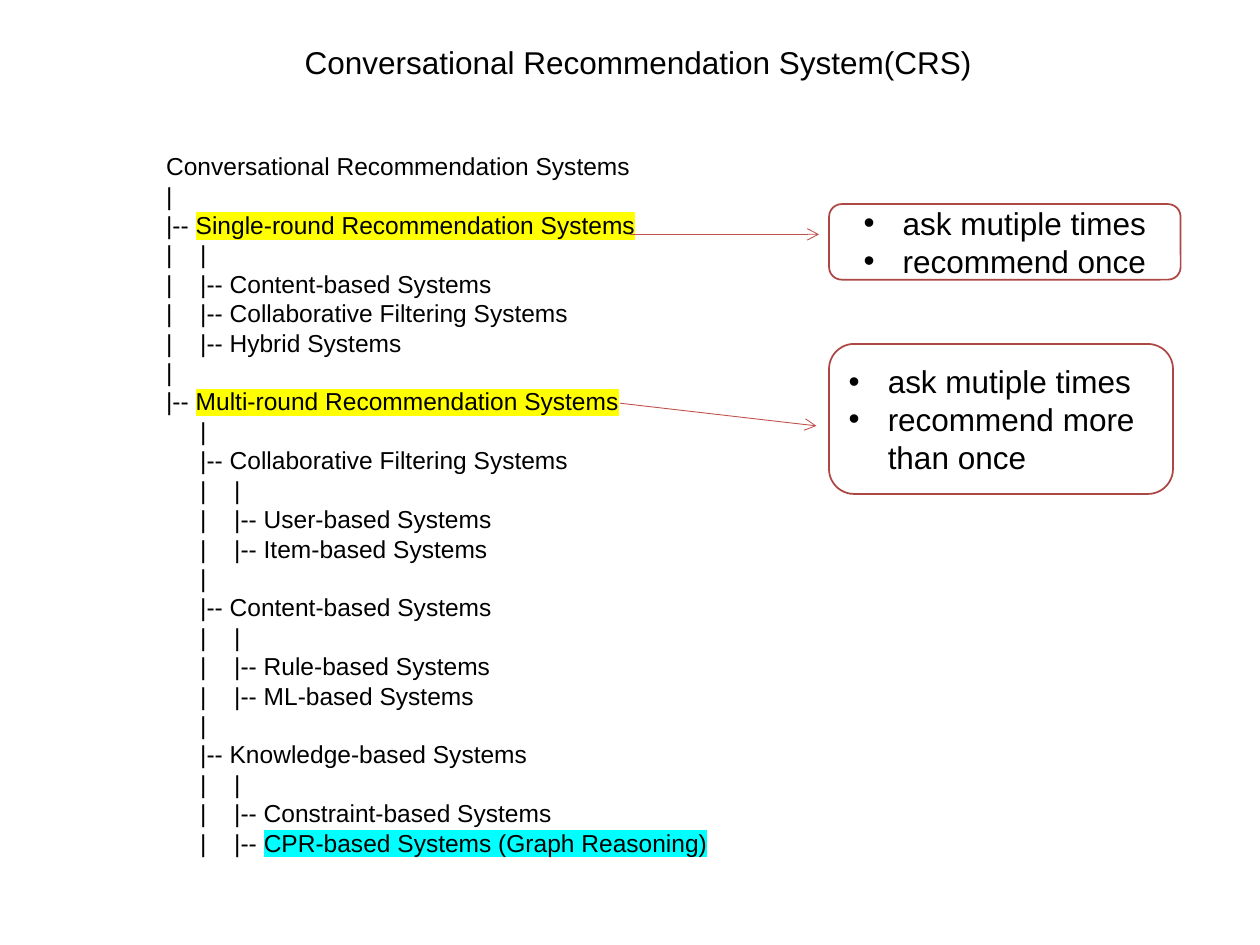
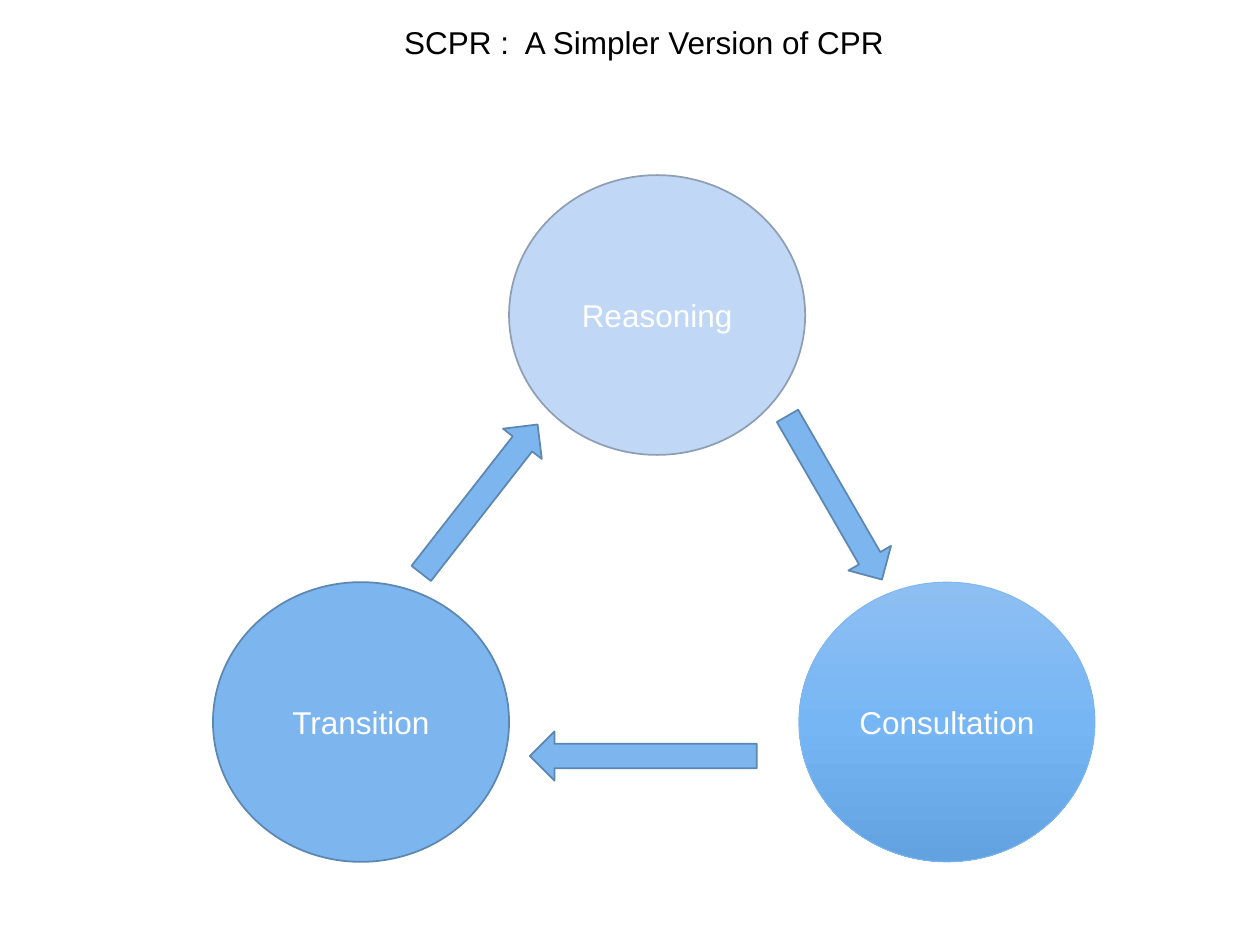
from copy import deepcopy

from lxml import etree
from pptx import Presentation
from pptx.dml.color import RGBColor
from pptx.enum.shapes import MSO_CONNECTOR, MSO_SHAPE
from pptx.enum.text import MSO_ANCHOR, MSO_AUTO_SIZE, PP_ALIGN
from pptx.oxml.ns import qn
from pptx.util import Pt

ROUND_RECT, ELLIPSE, DOWN_ARROW = (
    MSO_SHAPE.ROUNDED_RECTANGLE, MSO_SHAPE.OVAL, MSO_SHAPE.DOWN_ARROW)
STRAIGHT = MSO_CONNECTOR.STRAIGHT
LEFT, CENTER = PP_ALIGN.LEFT, PP_ALIGN.CENTER
MIDDLE = MSO_ANCHOR.MIDDLE
GROW = MSO_AUTO_SIZE.SHAPE_TO_FIT_TEXT

PX = 9144  # 100 px to the inch
FONT = "Arial"
BLACK, WHITE = "000000", "FFFFFF"
YELLOW, CYAN = "FFFF00", "00FFFF"
BOX_RED, ARROW_RED = "AC4744", "C0504D"
BLUE, BLUE_EDGE = "7DB6EF", "5C87B1"
color = RGBColor.from_string


def add_run(paragraph, text, size, ink=BLACK, highlight=None):
    run = paragraph.add_run()
    run.text = text
    run.font.size = Pt(size)
    run.font.name = FONT
    run.font.color.rgb = color(ink)
    if highlight:
        mark = etree.Element(qn("a:highlight"))
        etree.SubElement(mark, qn("a:srgbClr"), val=highlight)
        run.font._element.find(qn("a:solidFill")).addnext(mark)


def add_figure(slide, kind, box, fill, edge, edge_width=1):
    figure = slide.shapes.add_shape(kind, *[v * PX for v in box])
    figure.shadow.inherit = False
    figure.fill.solid()
    figure.fill.fore_color.rgb = color(fill)
    figure.line.color.rgb = color(edge)
    figure.line.width = Pt(edge_width)
    figure.text_frame.word_wrap = True
    figure.text_frame.vertical_anchor = MIDDLE
    return figure


prs = Presentation()
prs.slide_width, prs.slide_height = 1000 * PX, 750 * PX

# Slides and their titles
titles = [
    ("Conversational Recommendation System(CRS)", (232, 29, 690, 40)),
    ("SCPR :  A Simpler Version of CPR", (311, 13, 469, 40)),
]
for title, box in titles:
    slide = prs.slides.add_slide(prs.slide_layouts[6])
    frame = slide.shapes.add_textbox(*[v * PX for v in box]).text_frame
    frame.word_wrap = True
    frame.auto_size = GROW
    add_run(frame.paragraphs[0], title, 18)
taxonomy, cycle = prs.slides

# Slide 1: tree of systems, as (guide, label, highlight)
tree = [
    ("", "Conversational Recommendation Systems", None),
    ("|", "", None),
    ("|-- ", "Single-round Recommendation Systems", YELLOW),
    ("|\t|", "", None),
    ("|\t|-- ", "Content-based Systems", None),
    ("|\t|-- ", "Collaborative Filtering Systems", None),
    ("|\t|-- ", "Hybrid Systems", None),
    ("|", "", None),
    ("|-- ", "Multi-round Recommendation Systems", YELLOW),
]
multi_round = [
    ("Collaborative Filtering Systems",
     [("User-based Systems", None), ("Item-based Systems", None)]),
    ("Content-based Systems",
     [("Rule-based Systems", None), ("ML-based Systems", None)]),
    ("Knowledge-based Systems",
     [("Constraint-based Systems", None),
      ("CPR-based Systems (Graph Reasoning)", CYAN)]),
]
for family, members in multi_round:
    tree += [("\t|", "", None), ("\t|-- ", family, None), ("\t|\t|", "", None)]
    tree += [("\t|\t|-- ", member, mark) for member, mark in members]

frame = taxonomy.shapes.add_textbox(122 * PX, 115 * PX, 682 * PX, 599 * PX).text_frame
frame.word_wrap = True
frame.auto_size = GROW
for i, (guide, label, mark) in enumerate(tree):
    line = frame.add_paragraph() if i else frame.paragraphs[0]
    tabs = etree.SubElement(line._p.get_or_add_pPr(), qn("a:tabLst"))
    for level in (1, 2):
        etree.SubElement(tabs, qn("a:tab"), pos=str(level * 27 * PX), algn="l")
    for text, highlight in ((guide, None), (label, mark)):
        if text:
            add_run(line, text, 14, highlight=highlight)

# Callouts with bullets
callouts = [
    ((658, 162, 279, 60), CENTER, ["ask mutiple times", "recommend once"]),
    ((658, 273, 273, 119), LEFT, ["ask mutiple times", "recommend more than once"]),
]
for box, align, points in callouts:
    frame = add_figure(taxonomy, ROUND_RECT, box, WHITE, BOX_RED).text_frame
    for i, point in enumerate(points):
        line = frame.add_paragraph() if i else frame.paragraphs[0]
        line.alignment = align
        props = line._p.get_or_add_pPr()
        props.set("marL", str(31 * PX))
        props.set("indent", str(-31 * PX))
        etree.SubElement(props, qn("a:buFont"), typeface=FONT)
        etree.SubElement(props, qn("a:buChar"), char="•")
        add_run(line, point, 18)

# Arrows from the highlighted branches to the callouts
for ends in ((500, 186, 650, 186), (492, 320, 648, 338)):
    pointer = taxonomy.shapes.add_connector(STRAIGHT, *[v * PX for v in ends])
    pointer.line.color.rgb = color(ARROW_RED)
    pointer.line.width = Pt(0.5)
    etree.SubElement(pointer.line._get_or_add_ln(), qn("a:tailEnd"), type="arrow")
    etree.SubElement(pointer._element.spPr, qn("a:effectLst"))

# Slide 2: arrows of the cycle
for left, top, length, angle in (
        (643, 320, 150, 330), (361, 321, 150, 218), (491, 510, 180, 90)):
    arrow = add_figure(cycle, DOWN_ARROW, (left, top, 39, length), BLUE, BLUE_EDGE)
    arrow.rotation = angle

# Stages of the cycle
stages = [
    ("Consultation", 634, 462, BLUE, BLUE, 0.5),
    ("Transition", 169, 462, BLUE, BLUE_EDGE, 1),
    ("Reasoning", 404, 139, "C0D7F5", "8E9FB5", 1),
]
consultation_stops = [(0, "8EBFF2"), (0.5, "77B6F5"), (1, "63A2E1")]
for name, left, top, fill, edge, edge_width in stages:
    stage = add_figure(cycle, ELLIPSE, (left, top, 235, 222), fill, edge, edge_width)
    label = stage.text_frame.paragraphs[0]
    label.alignment = CENTER
    add_run(label, name, 18, WHITE)
    if name == "Consultation":
        stage.fill.gradient()
        stage.fill.gradient_angle = 270
        stop_list = stage._element.spPr.find(qn("a:gradFill")).find(qn("a:gsLst"))
        stop_list.append(deepcopy(stop_list[0]))
        for stop, (position, tint) in zip(stage.fill.gradient_stops, consultation_stops):
            stop.position = position
            stop.color.rgb = color(tint)

prs.save("out.pptx")
